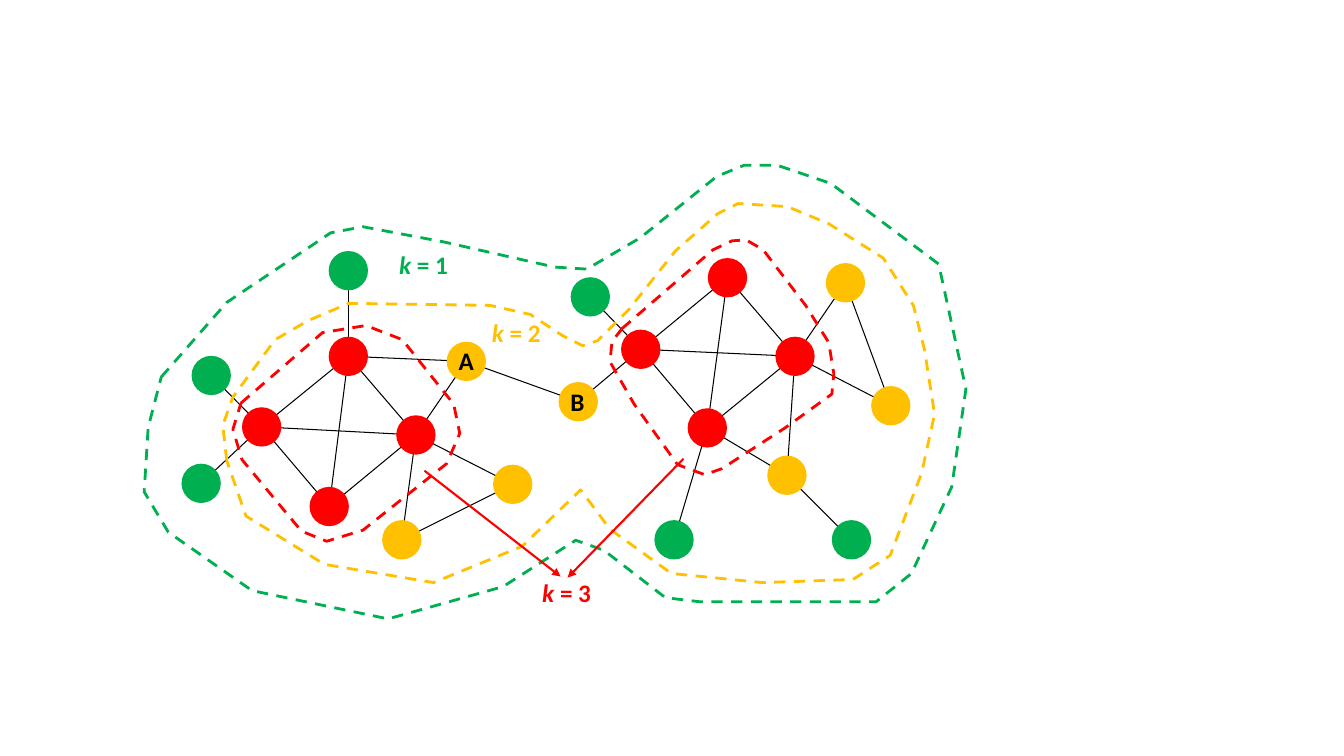
"""Draw the k-shell decomposition of a small network on one slide."""
from dataclasses import dataclass, field
from itertools import combinations
from typing import NamedTuple

from lxml.etree import SubElement
from pptx import Presentation
from pptx.dml.color import RGBColor as RGB
from pptx.enum.dml import MSO_LINE as Dash
from pptx.enum.shapes import MSO_CONNECTOR as Connector, MSO_SHAPE as Shape
from pptx.enum.text import MSO_AUTO_SIZE as AutoSize
from pptx.oxml.ns import qn
from pptx.slide import Slide
from pptx.util import Inches, Pt


@dataclass(frozen=True)
class Theme:
    font: str = "Calibri"
    text_size: float = 18
    edge_width: float = 0.75
    shell_width: float = 2
    arrow_width: float = 1.5
    node_size: float = 0.39
    ink: RGB = RGB(0, 0, 0)
    shell: dict[int, RGB] = field(default_factory=lambda: {
        1: RGB(0x00, 0xB0, 0x50),
        2: RGB(0xFF, 0xC0, 0x00),
        3: RGB(0xFF, 0x00, 0x00),
    })


class Point(NamedTuple):
    x: float
    y: float


class Node(NamedTuple):
    left: float
    top: float
    k: int
    label: str = ""

    @property
    def center(self) -> Point:
        return Point(self.left + THEME.node_size / 2, self.top + THEME.node_size / 2)


class Boundary(NamedTuple):
    k: int
    corners: list[tuple[float, float]]


class ShellLabel(NamedTuple):
    k: int
    left: float
    top: float


class Run(NamedTuple):
    text: str
    italic: bool = False


THEME = Theme()

NODES = {
    "west bottom": Node(3.07, 4.83, 3),
    "west right": Node(3.93, 4.12, 3),
    "west left": Node(2.4, 4.04, 3),
    "west top": Node(3.26, 3.34, 3),
    "west leaf low": Node(1.8, 4.6, 1),
    "west leaf mid": Node(1.9, 3.53, 1),
    "west leaf high": Node(3.26, 2.49, 1),
    "A": Node(4.43, 3.39, 2, "A"),
    "west pair low": Node(3.79, 5.16, 2),
    "west pair high": Node(4.89, 4.61, 2),
    "east bottom": Node(6.82, 4.05, 3),
    "east right": Node(7.69, 3.34, 3),
    "east left": Node(6.16, 3.27, 3),
    "east top": Node(7.02, 2.56, 3),
    "east leaf high": Node(5.66, 2.75, 1),
    "east pair high": Node(8.19, 2.61, 2),
    "east bridge": Node(7.61, 4.52, 2),
    "east pair low": Node(8.64, 3.83, 2),
    "east leaf low": Node(6.49, 5.16, 1),
    "east leaf far": Node(8.25, 5.16, 1),
    "B": Node(5.54, 3.79, 2, "B"),
}

OUTER_EDGES = [
    ("east pair high", "east right"),
    ("east pair high", "east pair low"),
    ("east right", "east pair low"),
    ("east right", "east bridge"),
    ("east bridge", "east leaf far"),
    ("east bottom", "east bridge"),
    ("east bottom", "east leaf low"),
    ("east left", "east leaf high"),
    ("east left", "B"),
    ("A", "B"),
    ("west right", "west pair high"),
    ("west right", "west pair low"),
    ("west pair high", "west pair low"),
    ("west right", "A"),
    ("west top", "A"),
    ("west left", "west leaf low"),
    ("west top", "west leaf high"),
    ("west left", "west leaf mid"),
]
CORE_EDGES = [
    (f"{side} {start}", f"{side} {end}")
    for side in ("east", "west")
    for start, end in combinations(("top", "right", "bottom", "left"), 2)
]

BOUNDARIES = [
    Boundary(2, [
        (2.25, 4.57), (2.21, 4.22), (2.31, 3.94), (2.73, 3.37), (3.06, 3.18), (3.46, 3.01),
        (4.86, 3.03), (5.26, 3.12), (5.58, 3.33), (5.78, 3.43), (5.93, 3.38), (6.23, 3.08),
        (6.7, 2.49), (7.12, 2.12), (7.32, 2.02), (7.81, 2.05), (8.22, 2.22), (8.76, 2.56),
        (9.06, 3.03), (9.17, 3.47), (9.27, 4.11), (9.14, 4.7), (8.83, 5.51), (8.46, 5.75),
        (7.56, 5.78), (6.66, 5.69), (6.05, 5.25), (5.76, 4.86), (5.18, 5.42), (4.3, 5.78),
        (3.22, 5.6), (2.44, 5.12)]),
    Boundary(3, [
        (2.39, 4), (3.2, 3.3), (3.63, 3.23), (3.99, 3.37), (4.5, 4.01), (4.56, 4.3),
        (4.43, 4.6), (3.6, 5.26), (3.24, 5.37), (2.99, 5.27), (2.4, 4.56), (2.31, 4.26)]),
    Boundary(3, [
        (6.17, 3.26), (7.07, 2.48), (7.26, 2.39), (7.4, 2.38), (7.57, 2.48), (7.99, 3.03),
        (8.22, 3.4), (8.27, 3.71), (8.25, 3.91), (7.78, 4.25), (7.16, 4.65), (6.99, 4.71),
        (6.72, 4.61), (6.29, 4.01), (6.05, 3.59), (6.07, 3.39)]),
    Boundary(1, [
        (1.6, 3.74), (2.25, 3), (3.28, 2.31), (3.6, 2.25), (4.4, 2.4), (5.5, 2.65),
        (5.82, 2.67), (6.35, 2.36), (7.11, 1.75), (7.38, 1.64), (7.71, 1.64), (8.24, 1.82),
        (9.31, 2.62), (9.58, 3.86), (9.44, 4.83), (9.04, 5.69), (8.69, 5.97), (6.94, 5.97),
        (6.6, 5.93), (5.99, 5.46), (5.71, 5.36), (4.99, 5.82), (3.85, 6.14), (2.5, 5.86),
        (1.67, 5.28), (1.43, 4.88), (1.47, 4.24)]),
]

SHELL_LABELS = [ShellLabel(1, 3.86, 2.42), ShellLabel(2, 4.78, 3.1), ShellLabel(3, 5.28, 5.68)]
CORE_ARROWS = [(Point(4.21, 4.67), Point(5.56, 5.72)), (Point(6.78, 4.55), Point(5.63, 5.73))]


def draw_line(slide: Slide, start: Point, end: Point, color: RGB, width: float,
              arrow: bool = False) -> None:
    link = slide.shapes.add_connector(Connector.STRAIGHT, *map(Inches, (*start, *end)))
    link.line.color.rgb = color
    link.line.width = Pt(width)
    if arrow:
        SubElement(link.line._get_or_add_ln(), qn("a:tailEnd"), type="triangle")
    SubElement(link._element.spPr, qn("a:effectLst"))


def draw_node(slide: Slide, node: Node) -> None:
    size = Inches(THEME.node_size)
    disc = slide.shapes.add_shape(Shape.OVAL, Inches(node.left), Inches(node.top), size, size)
    disc.shadow.inherit = False
    disc.fill.solid()
    disc.fill.fore_color.rgb = THEME.shell[node.k]
    disc.line.fill.background()


def draw_boundary(slide: Slide, boundary: Boundary) -> None:
    first, *rest = [(Inches(x), Inches(y)) for x, y in boundary.corners]
    builder = slide.shapes.build_freeform(*first)
    builder.add_line_segments(rest, close=True)
    outline = builder.convert_to_shape()
    outline.shadow.inherit = False
    outline.fill.background()
    outline.line.color.rgb = THEME.shell[boundary.k]
    outline.line.width = Pt(THEME.shell_width)
    outline.line.dash_style = Dash.DASH


def draw_label(slide: Slide, left: float, top: float, width: float, color: RGB,
               runs: list[Run]) -> None:
    frame = slide.shapes.add_textbox(*map(Inches, (left, top, width, 0.4))).text_frame
    frame.word_wrap = False
    frame.auto_size = AutoSize.SHAPE_TO_FIT_TEXT
    for part in runs:
        run = frame.paragraphs[0].add_run()
        run.text = part.text
        run.font.name = THEME.font
        run.font.size = Pt(THEME.text_size)
        run.font.bold = True
        run.font.italic = part.italic
        run.font.color.rgb = color


def main() -> None:
    deck = Presentation()
    deck.slide_width, deck.slide_height = Inches(13.33), Inches(7.5)
    slide = deck.slides.add_slide(deck.slide_layouts[6])
    for start, end in OUTER_EDGES + CORE_EDGES:
        draw_line(slide, NODES[start].center, NODES[end].center, THEME.ink, THEME.edge_width)
    for node in NODES.values():
        draw_node(slide, node)
    for boundary in BOUNDARIES:
        draw_boundary(slide, boundary)
    for k, left, top in SHELL_LABELS:
        draw_label(slide, left, top, 0.7, THEME.shell[k], [Run("k ", True), Run(f"= {k}")])
    for start, end in CORE_ARROWS:
        draw_line(slide, start, end, THEME.shell[3], THEME.arrow_width, arrow=True)
    for node in NODES.values():
        if node.label:
            draw_label(slide, node.left + 0.02, node.top - 0.01, 0.35, THEME.ink,
                       [Run(node.label)])
    deck.save("out.pptx")


if __name__ == "__main__":
    main()
